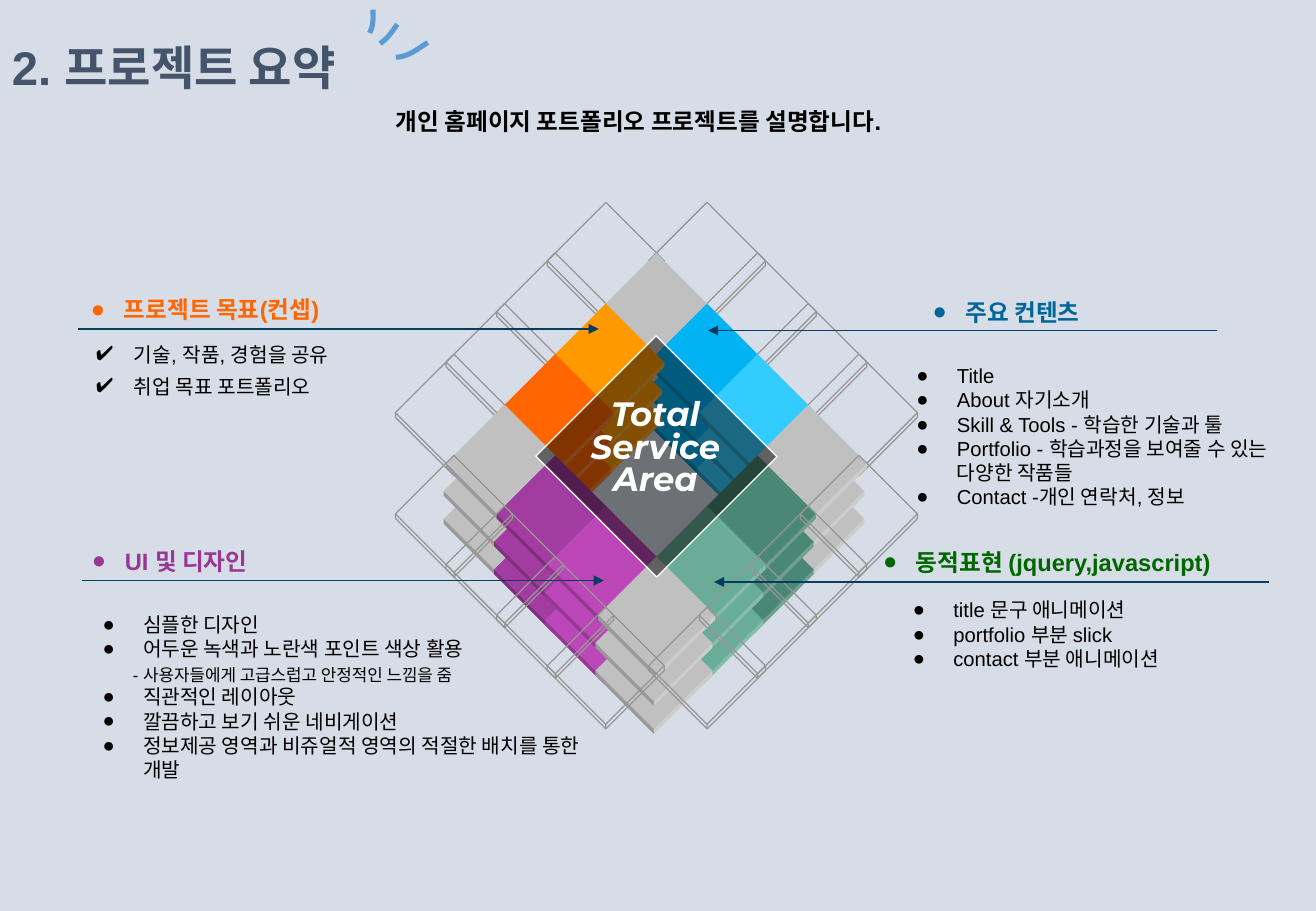
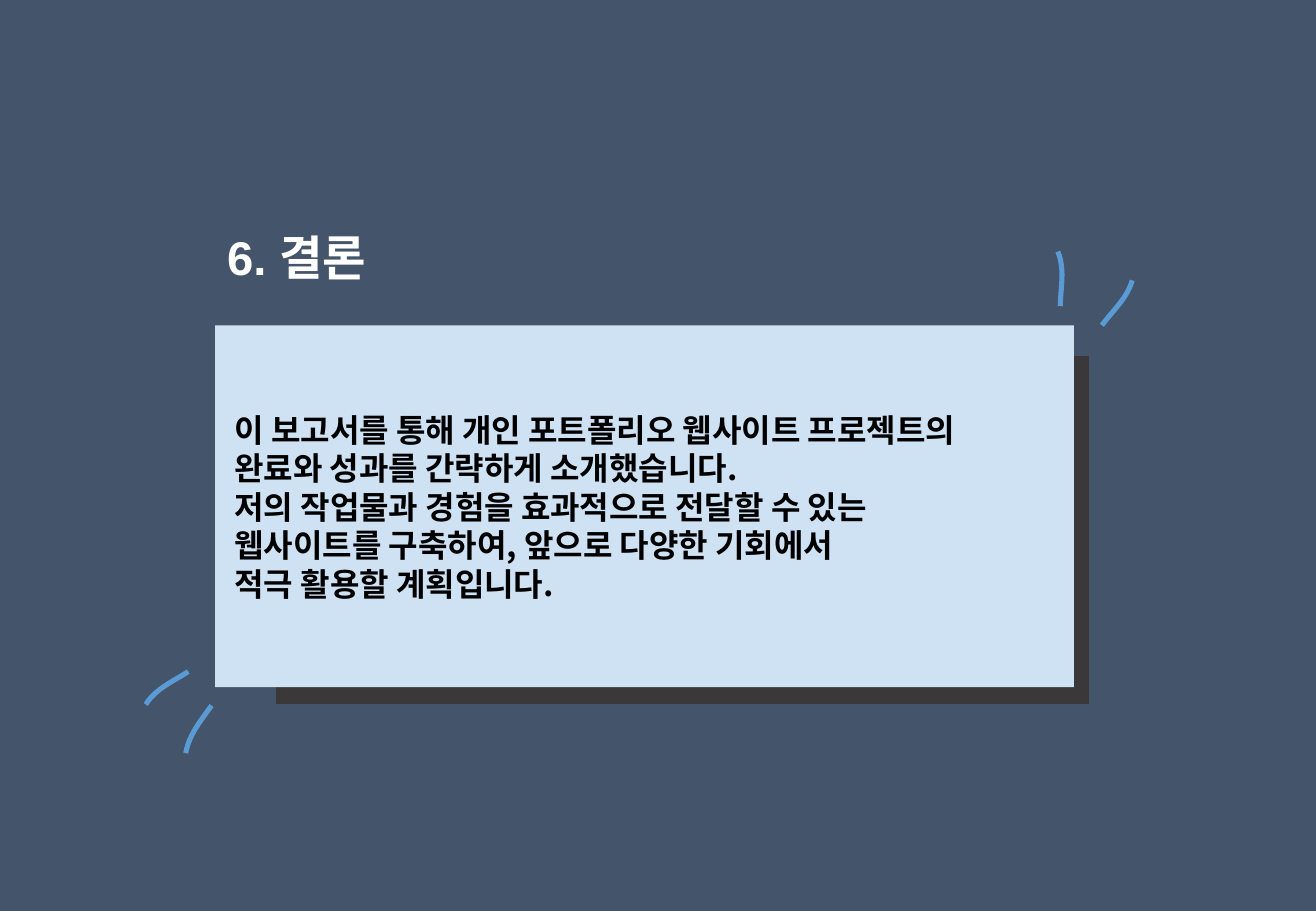
import dataclasses

import lxml.etree
import pptx
import pptx.dml.color
import pptx.enum.shapes
import pptx.enum.text
import pptx.oxml
import pptx.oxml.ns
import pptx.util


@dataclasses.dataclass(frozen=True)
class Theme:
    pale: str = "D7DDE6"
    navy: str = "44546A"
    black: str = "000000"
    white: str = "FFFFFF"
    card: str = "CFE2F3"
    card_shadow: str = "3A3838"
    arrow: str = "043D60"
    accent: str = "5B9BD5"
    wire: str = "969696"
    gray: str = "C0C0C0"
    font: str = "Arial"
    korean: str = "Noto Sans CJK KR"
    display: str = "Montserrat"
    title: int = 28
    hub: int = 20
    conclusion: int = 19
    heading: int = 14
    body: int = 12
    note: int = 10


THEME = Theme()
RGB = pptx.dml.color.RGBColor.from_string
SHAPE = pptx.enum.shapes.MSO_SHAPE
ALIGN = pptx.enum.text.PP_ALIGN
MIDDLE = pptx.enum.text.MSO_ANCHOR.MIDDLE
qn = pptx.oxml.ns.qn

# The slide is a grid of 26 columns and 18 rows of square cells
CELL = 381000
COLUMNS, ROWS = 26, 18


def cells(*counts):
    return [pptx.util.Emu(round(count * CELL)) for count in counts]


def write(shape, lines, size, color=THEME.black, bold=False, font=THEME.font,
          bullet=None, hang=0, margin=0):
    """Fill a shape with paragraphs; hang and margin are in cells."""
    frame = shape.text_frame
    frame.word_wrap = True
    frame.text = "\n".join(lines)
    for paragraph in frame.paragraphs:
        paragraph.alignment = ALIGN.LEFT
        for run in paragraph.runs:
            run.font.size = pptx.util.Pt(size)
            run.font.bold = bold
            run.font.name = font
            run.font.color.rgb = RGB(color)
            lxml.etree.SubElement(run.font._element, qn("a:ea"), typeface=THEME.korean)
        if bullet:
            properties = paragraph._p.get_or_add_pPr()
            properties.set("marL", str(round(margin * CELL)))
            properties.set("indent", str(round(-hang * CELL)))
            bullet_color = lxml.etree.SubElement(properties, qn("a:buClr"))
            lxml.etree.SubElement(bullet_color, qn("a:srgbClr"), val=color)
            lxml.etree.SubElement(properties, qn("a:buFont"), typeface=THEME.font)
            lxml.etree.SubElement(properties, qn("a:buChar"), char=bullet)
    return frame


deck = pptx.Presentation()
deck.slide_width, deck.slide_height = cells(COLUMNS, ROWS)
summary, conclusion = [deck.slides.add_slide(deck.slide_layouts[6]) for _ in range(2)]

# Backgrounds
for slide, color in ((summary, THEME.pale), (conclusion, THEME.navy)):
    slide.background.fill.solid()
    slide.background.fill.fore_color.rgb = RGB(color)

# Titles
for slide, area, words, color in (
    (summary, (0, 0.5, 7.6, 1.63), "2. 프로젝트 요약", THEME.navy),
    (conclusion, (4.25, 4.34, 3.82, 1.46), "6. 결론", THEME.white),
):
    title = slide.shapes.add_textbox(*cells(*area))
    write(title, [words], THEME.title, color, bold=True).vertical_anchor = MIDDLE

# Tile diagram: column and row of each tile, counted from the diagram's origin
ORIGIN_X, ORIGIN_Y, TILE = 9.12, 5.35, 1.7
ring = [
    (3, 0, THEME.gray), (4, 1, "00B4F4"), (5, 2, "33CCFF"), (6, 3, THEME.gray),
    (2, 1, "FF9900"), (1, 2, "FF6600"), (0, 3, THEME.gray), (1, 4, "A23CA0"),
    (2, 5, "BB47B8"), (5, 4, "4A8875"), (4, 5, "69AD98"), (3, 6, THEME.gray),
]
# The wire tiles follow the four outer edges, without the corners
upper_wires = [(3 + side * step, step - 2, None) for side in (-1, 1) for step in (1, 2, 3, 4)]
lower_wires = [(column, 6 - row, None) for column, row, _ in upper_wires]
layers = [
    (-0.05, 1.1, ring),
    (-0.05, 0.55, ring),
    (0, 0, upper_wires + ring + lower_wires),
]
for shift_x, shift_y, tiles in layers:
    for column, row, color in tiles:
        tile = summary.shapes.add_shape(SHAPE.CUBE, *cells(
            ORIGIN_X + shift_x + column, ORIGIN_Y + shift_y + row, TILE, TILE))
        tile.adjustments[0] = 0.038
        tile.rotation = 135
        tile.shadow.inherit = False
        if color:
            tile.fill.solid()
            tile.fill.fore_color.rgb = RGB(color)
            tile.line.fill.background()
        else:
            tile.fill.background()
            tile.line.color.rgb = RGB(THEME.wire)
            tile.line.width = pptx.util.Pt(0.75)

# Translucent hub with its label
hub = summary.shapes.add_shape(SHAPE.RECTANGLE, *cells(11.28, 7.34, 3.38, 3.36))
hub.rotation = 45
hub.shadow.inherit = False
hub.fill.solid()
hub.fill.fore_color.rgb = RGB(THEME.black)
hub_color = hub._element.spPr.find(qn("a:solidFill")).find(qn("a:srgbClr"))
lxml.etree.SubElement(hub_color, qn("a:alpha"), val="49000")
hub.line.color.rgb = RGB(THEME.white)
hub.line.width = pptx.util.Pt(0.75)
hub_label = summary.shapes.add_textbox(*cells(11.33, 7.8, 3.24, 2.16))
hub_text = write(hub_label, ["Total", "Service", "Area"], THEME.hub, THEME.white,
                 bold=True, font=THEME.display)
for paragraph in hub_text.paragraphs:
    paragraph.alignment = ALIGN.CENTER
    paragraph.line_spacing = 0.8
    paragraph.runs[0].font.italic = True

# Subtitle
subtitle = summary.shapes.add_textbox(*cells(7.58, 1.99, 11.18, 0.82))
write(subtitle, ["개인 홈페이지 포트폴리오 프로젝트를 설명합니다."], THEME.heading, bold=True)

# Topic headings, each with an arrow (start, end, row) into the diagram
topics = [
    ("프로젝트 목표(컨셉)", "FF6600", (1.56, 5.71, 6.82, 0.8), (1.54, 11.83, 6.5)),
    ("주요 컨텐츠", "006699", (18.19, 5.76, 4.42, 0.8), (24.05, 13.99, 6.53)),
    ("UI 및 디자인", "963894", (1.58, 10.68, 4.03, 0.8), (1.63, 11.93, 11.47)),
    ("동적표현 (jquery,javascript)", "006600", (17.21, 10.7, 7.39, 0.8), (25.08, 14.11, 11.5)),
]
for words, color, area, (start, end, row) in topics:
    heading = summary.shapes.add_textbox(*cells(*area))
    write(heading, [words], THEME.heading, color, bold=True, bullet="●", hang=0.65, margin=0.65)
    arrow = summary.shapes.add_connector(
        pptx.enum.shapes.MSO_CONNECTOR.STRAIGHT, *cells(start, row, end, row))
    arrow.line.color.rgb = RGB(THEME.arrow)
    arrow.line.width = pptx.util.Pt(1)
    lxml.etree.SubElement(arrow.line._get_or_add_ln(), qn("a:tailEnd"), type="triangle")
    lxml.etree.SubElement(arrow._element.spPr, qn("a:effectLst"))

# Topic details
goals = summary.shapes.add_textbox(*cells(1.66, 6.77, 6.53, 1.27))
goal_text = write(goals, ["기술, 작품, 경험을 공유", "취업 목표 포트폴리오"], THEME.body,
                  bullet="✔", hang=0.75, margin=0.75)
for paragraph in goal_text.paragraphs:
    paragraph.line_spacing = 0.7
goal_text.paragraphs[1].space_before = pptx.util.Pt(9)

details = [
    ((17.47, 7.06, 7.87, 3.38), [
        "Title",
        "About 자기소개",
        "Skill & Tools - 학습한 기술과 툴",
        "Portfolio - 학습과정을 보여줄 수 있는 다양한 작품들",
        "Contact -개인 연락처, 정보",
    ]),
    ((17.4, 11.69, 8.04, 1.7), [
        "title 문구 애니메이션",
        "portfolio 부분 slick",
        "contact 부분 애니메이션",
    ]),
    ((1.39, 11.98, 10.58, 3.65), [
        "심플한 디자인",
        "어두운 녹색과 노란색 포인트 색상 활용",
        "- 사용자들에게 고급스럽고 안정적인 느낌을 줌",
        "직관적인 레이아웃",
        "깔끔하고 보기 쉬운 네비게이션",
        "정보제공 영역과 비쥬얼적 영역의 적절한 배치를 통한 개발",
    ]),
]
for area, lines in details:
    detail = summary.shapes.add_textbox(*cells(*area))
    detail_text = write(detail, lines, THEME.body, bullet="●", hang=0.8, margin=1.2)
    for paragraph in detail_text.paragraphs:
        if paragraph.text.startswith("-"):
            # A smaller note without a bullet
            properties = paragraph._p.get_or_add_pPr()
            for child in list(properties):
                properties.remove(child)
            lxml.etree.SubElement(properties, qn("a:buNone"))
            properties.set("marL", str(CELL))
            properties.set("indent", "0")
            paragraph.space_before = pptx.util.Pt(2)
            paragraph.runs[0].font.size = pptx.util.Pt(THEME.note)

# Conclusion card on its offset shadow
backing = conclusion.shapes.add_shape(SHAPE.RECTANGLE, *cells(5.45, 7.03, 16.08, 6.89))
card = conclusion.shapes.add_shape(SHAPE.RECTANGLE, *cells(4.25, 6.43, 16.97, 7.15))
for panel, color in ((backing, THEME.card_shadow), (card, THEME.card)):
    panel.shadow.inherit = False
    panel.fill.solid()
    panel.fill.fore_color.rgb = RGB(color)
    panel.line.fill.background()
backing.line.color.rgb = RGB(THEME.navy)
backing.line.width = pptx.util.Pt(0.75)
card_text = write(card, [
    "이 보고서를 통해 개인 포트폴리오 웹사이트 프로젝트의",
    "완료와 성과를 간략하게 소개했습니다.",
    "저의 작업물과 경험을 효과적으로 전달할 수 있는",
    "웹사이트를 구축하여, 앞으로 다양한 기회에서",
    "적극 활용할 계획입니다.",
], THEME.conclusion, bold=True, font=THEME.korean)
card_text.vertical_anchor = MIDDLE
card_text.margin_left = pptx.util.Inches(0.16)

# Accent strokes: start, two control points and end of each curve
strokes = [
    (summary, (7.37, 0.19), (7.37, 0.34), (7.39, 0.5), (7.3, 0.65)),
    (summary, (7.85, 0.48), (7.75, 0.62), (7.66, 0.77), (7.51, 0.86)),
    (summary, (8.45, 0.84), (8.26, 0.96), (8.06, 1.13), (7.82, 1.13)),
    (conclusion, (20.9, 4.97), (21.05, 5.33), (20.95, 5.69), (20.95, 6.05)),
    (conclusion, (22.37, 5.54), (22.27, 5.9), (21.98, 6.14), (21.77, 6.43)),
    (conclusion, (2.88, 13.92), (3.07, 13.61), (3.43, 13.46), (3.72, 13.27)),
    (conclusion, (3.67, 14.88), (3.74, 14.5), (3.98, 14.23), (4.18, 13.94)),
]
STEPS = 12
for slide, *controls in strokes:
    points = []
    for step in range(STEPS + 1):
        t = step / STEPS
        weights = ((1 - t) ** 3, 3 * t * (1 - t) ** 2, 3 * t * t * (1 - t), t ** 3)
        points.append(cells(*(sum(weight * control[axis] for weight, control
                                  in zip(weights, controls)) for axis in (0, 1))))
    outline = slide.shapes.build_freeform(*points[0])
    outline.add_line_segments(points[1:], close=False)
    stroke = outline.convert_to_shape()
    stroke.shadow.inherit = False
    stroke.fill.background()
    stroke.line.color.rgb = RGB(THEME.accent)
    stroke.line.width = pptx.util.Pt(3)

deck.save("out.pptx")
